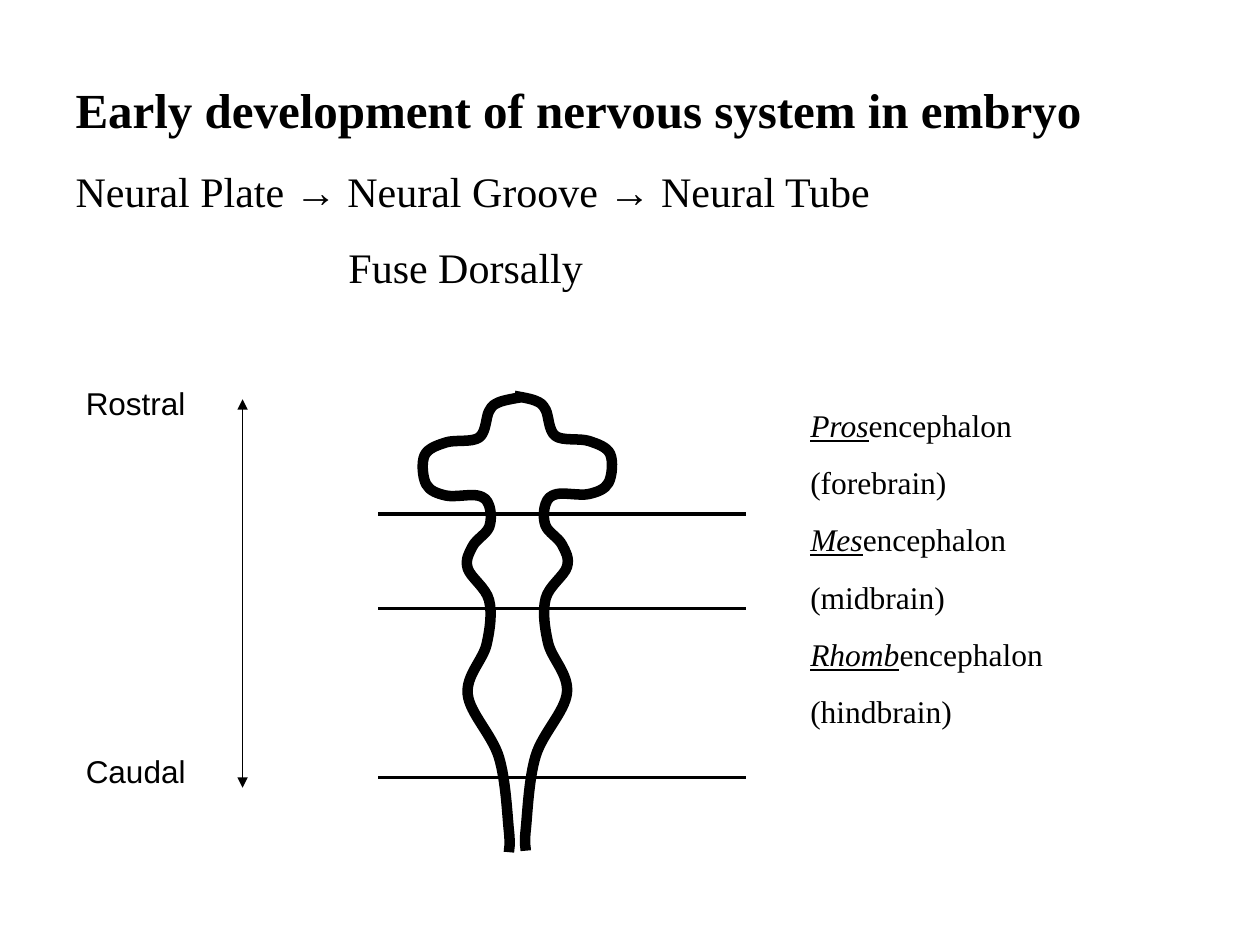
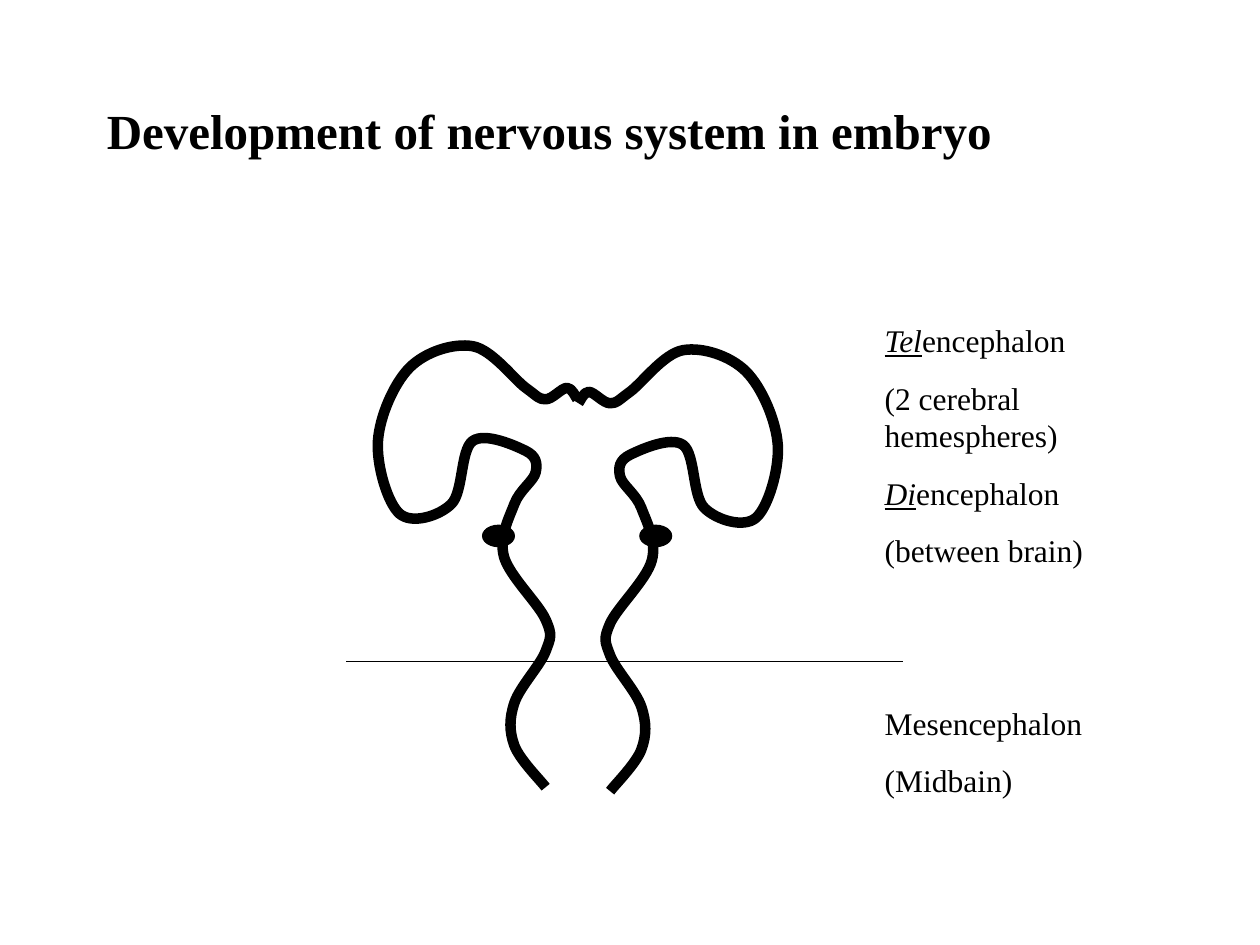
from collections import namedtuple

from lxml.etree import SubElement
from pptx import Presentation
from pptx.dml.color import RGBColor
from pptx.enum.shapes import MSO_CONNECTOR as Connector, MSO_SHAPE as Preset
from pptx.enum.text import MSO_ANCHOR as Anchor, MSO_AUTO_SIZE as AutoSize, PP_ALIGN as Align
from pptx.oxml.ns import qn
from pptx.util import Cm, Pt

Box = namedtuple("Box", "left top width height")

INK = "000000"
SERIF = "Times New Roman"
SANS = "Arial"
TITLE_SIZE, STAGE_SIZE, LABEL_SIZE = 28, 24, 18
LINE_HEIGHT = 1.2
GAP_RATIO = 0.62
WALL_WEIGHT = 6

TUBE_WALL = [
    (-0.06, 0), (0.37, 0.1), (0.57, 0.28), (0.77, 0.81), (1.44, 0.91),
    (1.87, 1.17), (1.84, 1.75), (1.44, 1.98), (0.8, 1.98), (0.57, 2.18),
    (0.57, 2.62), (0.9, 3), (1, 3.45), (0.57, 4.09), (0.62, 4.98),
    (1, 5.99), (0.37, 7.26), (0.17, 8.74), (0.17, 9.17),
]
HEMISPHERE_WALL = [
    (0.01, 1.07), (0.22, 0.84), (0.65, 1.07), (1.05, 0.84), (2.12, 0),
    (3.39, 0.43), (4.03, 1.91), (3.59, 3.38), (2.55, 3.18), (2.12, 1.91),
    (1.05, 2.11), (0.85, 2.54), (1.28, 3.18), (1.49, 4.24), (0.65, 5.51),
    (0.65, 6.15), (1.28, 7.19), (1.28, 8.05), (0.65, 8.89),
]


def color(code):
    return RGBColor.from_string(code)


def place(shape, box):
    shape.left, shape.top, shape.width, shape.height = map(Cm, box)


def write(shape, lines, size, font=SERIF, bold=False):
    frame = shape.text_frame
    frame.word_wrap = True
    frame.auto_size = AutoSize.NONE
    frame.vertical_anchor = Anchor.TOP
    for index, parts in enumerate(lines):
        para = frame.paragraphs[0] if index == 0 else frame.add_paragraph()
        settings = para._p.get_or_add_pPr()
        settings.set("marL", "0")
        settings.set("indent", "0")
        SubElement(settings, qn("a:buNone"))
        para.alignment = Align.LEFT
        para.line_spacing = Pt(size * LINE_HEIGHT)
        para.space_before = Pt(size * GAP_RATIO if index else 0)
        for part in parts:
            span = para.add_run()
            span.text = part
            span.font.size = Pt(size)
            span.font.name = font
            span.font.bold = bold
            span.font.color.rgb = color(INK)
    return frame.paragraphs


def add_title(page, box, text):
    place(page.shapes.title, box)
    write(page.shapes.title, [[text]], TITLE_SIZE, bold=True)


def add_stages(holder, box):
    place(holder, box)
    sequence, fusion = write(
        holder,
        [["Neural Plate ", "→", " Neural Groove ", "→", " Neural Tube"], ["Fuse Dorsally"]],
        STAGE_SIZE,
    )
    for arrow in sequence.runs[1::2]:
        arrow.font.name = SANS
    fusion._p.get_or_add_pPr().set("marL", str(Cm(5.5)))


def add_region_names(holder, box, lines):
    place(holder, box)
    paragraphs = write(holder, lines, LABEL_SIZE)
    for para in paragraphs:
        if len(para.runs) > 1:
            para.runs[0].font.italic = True
            para.runs[0].font.underline = True
    return paragraphs


def add_line(page, start, end, weight, arrows=False):
    line = page.shapes.add_connector(Connector.STRAIGHT, *map(Cm, start + end))
    line.line.color.rgb = color(INK)
    line.line.width = Pt(weight)
    if arrows:
        for tip in ("a:headEnd", "a:tailEnd"):
            SubElement(line.line._get_or_add_ln(), qn(tip), type="triangle")
    SubElement(line._element.spPr, qn("a:effectLst"))


def smooth_curve(shape):
    trace = next(shape._element.iter(qn("a:path")))
    knots = [(int(knot.get("x")), int(knot.get("y"))) for knot in trace.iter(qn("a:pt"))]
    guides = [knots[0], *knots, knots[-1]]
    for index, segment in enumerate(trace.findall(qn("a:lnTo"))):
        before, start, end, after = guides[index:index + 4]
        leave = [s + (e - b) / 6 for b, s, e in zip(before, start, end)]
        arrive = [e - (a - s) / 6 for s, e, a in zip(start, end, after)]
        trace.remove(segment)
        curve = SubElement(trace, qn("a:cubicBezTo"))
        for x, y in (leave, arrive, end):
            SubElement(curve, qn("a:pt"), x=str(round(x)), y=str(round(y)))


def add_wall(page, axis, top, knots, side):
    points = [(Cm(axis + side * x), Cm(top + y)) for x, y in knots]
    builder = page.shapes.build_freeform(*points[0])
    builder.add_line_segments(points[1:], close=False)
    wall = builder.convert_to_shape()
    wall.shadow.inherit = False
    wall.fill.background()
    wall.line.color.rgb = color(INK)
    wall.line.width = Pt(WALL_WEIGHT)
    smooth_curve(wall)


def add_body_axis(page, box):
    add_line(page, (box.left + 3.41, box.top + 0.43),
             (box.left + 3.41, box.top + box.height), 0.75, arrows=True)
    for name, offset in (("Rostral", 0), ("Caudal", 7.42)):
        label = page.shapes.add_textbox(0, 0, 0, 0)
        place(label, Box(box.left, box.top + offset, 2.97, 1.02))
        write(label, [[name]], LABEL_SIZE, SANS)


def add_neural_tube(page, box):
    axis = box.left + 2.81
    add_wall(page, axis, box.top, TUBE_WALL, 1)
    add_wall(page, axis, box.top + 0.03, TUBE_WALL, -1)
    for offset in (2.38, 4.29, 7.69):
        level = box.top + offset
        add_line(page, (box.left, level), (box.left + box.width, level), 2)


def add_hemispheres(page, box):
    axis = box.left + 4.67
    add_wall(page, axis, box.top, HEMISPHERE_WALL, -1)
    add_wall(page, axis, box.top + 0.08, HEMISPHERE_WALL, 1)
    level = box.top + 6.36
    add_line(page, (box.left, level), (box.left + box.width, level), 0.75)
    for offset in (2.75, 5.92):
        bud = page.shapes.add_shape(Preset.OVAL, 0, 0, 0, 0)
        place(bud, Box(box.left + offset, box.top + 3.61, 0.64, 0.43))
        bud.shadow.inherit = False
        bud.fill.solid()
        bud.fill.fore_color.rgb = color(INK)
        bud.line.color.rgb = color(INK)
        bud.line.width = Pt(0.75)


def build_early_stage(deck):
    page = deck.slides.add_slide(deck.slide_layouts.get_by_name("Two Content"))
    add_title(page, Box(1.27, 1.47, 21.6, 1.45), "Early development of nervous system in embryo")
    add_stages(page.placeholders[1], Box(1.27, 3.21, 21.6, 2.85))
    add_body_axis(page, Box(1.48, 7.62, 3.41, 8.26))
    add_neural_tube(page, Box(7.62, 7.98, 7.42, 9.2))
    add_region_names(page.placeholders[2], Box(16.08, 8.05, 5.92, 6.8), [
        ["Pros", "encephalon"], ["(forebrain)"],
        ["Mes", "encephalon"], ["(midbrain)"],
        ["Rhomb", "encephalon"], ["(hindbrain)"],
    ])


def build_later_stage(deck):
    page = deck.slides.add_slide(deck.slide_layouts.get_by_name("Title and Content"))
    add_title(page, Box(1.9, 1.9, 19.25, 1.45), "Development of nervous system in embryo")
    add_hemispheres(page, Box(6.98, 6.98, 11.23, 8.97))
    paragraphs = add_region_names(page.placeholders[1], Box(17.58, 6.35, 5.92, 9.9), [
        ["Tel", "encephalon"], ["(2 cerebral hemespheres)"],
        ["Di", "encephalon"], ["(between brain)"],
        ["Mesencephalon"], ["(Midbain)"],
    ])
    paragraphs[4].space_before = Pt(77)


def main():
    deck = Presentation()
    deck.slide_width, deck.slide_height = Cm(25.4), Cm(19.05)
    build_early_stage(deck)
    build_later_stage(deck)
    deck.save("out.pptx")


if __name__ == "__main__":
    main()
